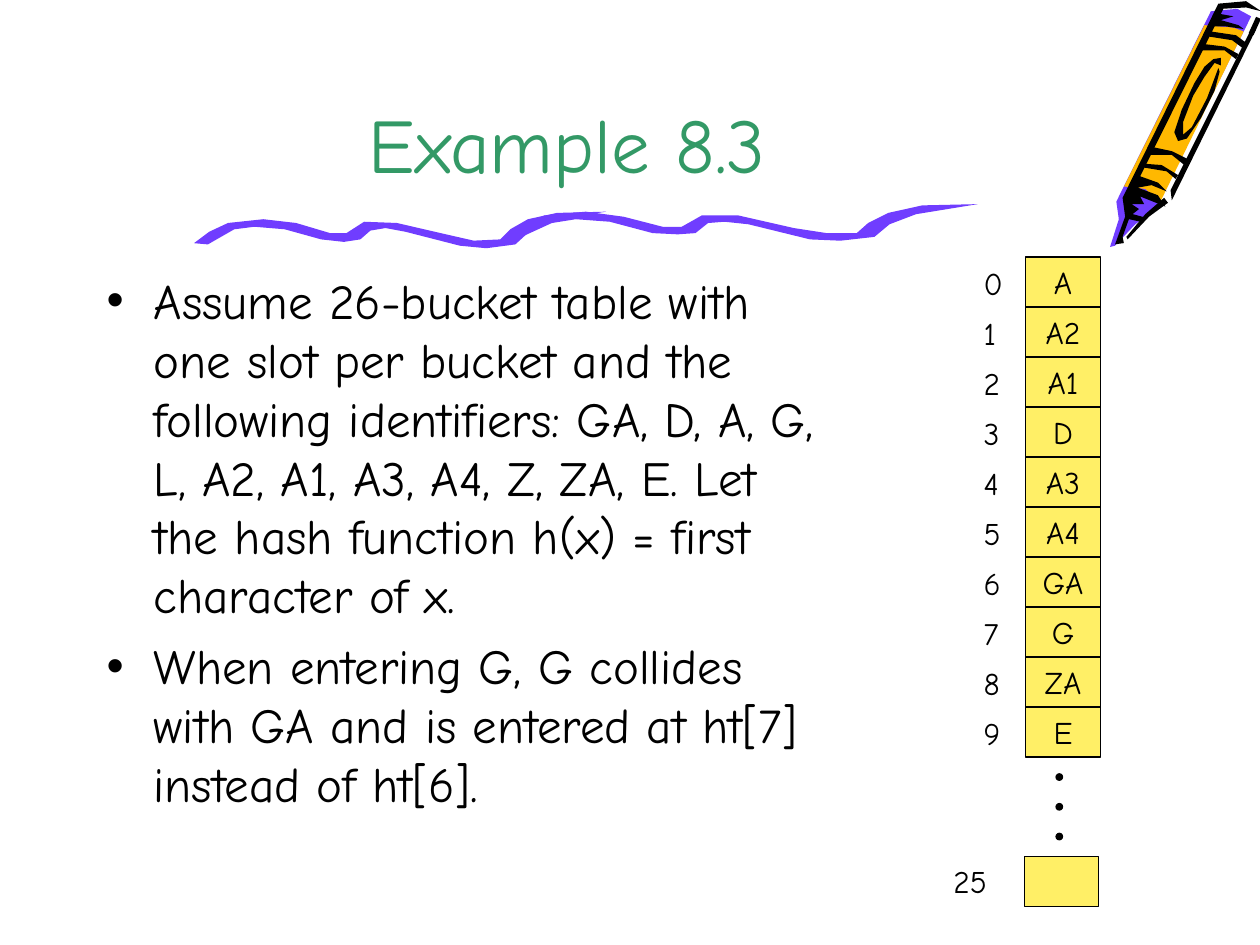
"""Build the hash table example slide with its crayon decoration."""
from dataclasses import dataclass

from lxml import etree
from pptx import Presentation
from pptx import util as u
from pptx.dml.color import RGBColor
from pptx.enum import shapes, text
from pptx.oxml import ns

FONT = "Comic Neue"
BLACK, PURPLE, ORANGE, YELLOW, GREEN = "000000", "703DFF", "FFB800", "FFEF66", "339966"
HUNDREDTH_INCH = u.Cm(0.0254)


@dataclass(frozen=True)
class Outline:
    """A filled outline, with its corners in hundredths of an inch."""
    color: str
    corners: str


@dataclass(frozen=True)
class Area:
    """A place on the slide, in centimetres."""
    left: float
    top: float
    width: float
    height: float

    def lengths(self) -> list[u.Length]:
        """Return left, top, width and height as lengths."""
        return [u.Cm(value) for value in (self.left, self.top, self.width, self.height)]


CRAYON = [
    Outline(PURPLE, "993,13 917,166 901,178 885,195 881,196 888,174 886,160 961,9 982,7"),
    Outline(ORANGE, "921,160 909,150 892,148 956,20 979,22 987,25"),
    Outline(BLACK, "927,161 912,172 895,190 894,188 909,170 924,157"),
    Outline(BLACK, "987,23 973,21 961,21 968,11 979,13 969,16 983,20"),
    Outline(BLACK, "968,57 964,72 953,94 942,110 935,112 932,105 938,87 948,66 956,53 963,47 "
                   "969,46 969,52 964,50 956,61 947,76 939,97 939,107 946,101 958,78 967,54"),
    Outline(BLACK, "997,23 930,159 929,151 993,23"),
    Outline(BLACK, "925,164 919,155 903,149 914,147 926,152 919,145 905,140 971,7 989,6 1001,9 "
                   "989,1 967,3 891,157 893,172 885,194 892,193 891,188 896,174 905,176 910,173 "
                   "899,170 904,166 898,162 908,162 905,156"),
    Outline(BLACK, "933,142 926,136 908,133 909,130 922,131 935,139"),
    Outline(BLACK, "940,131 930,123 913,123 916,117 930,120 942,126"),
    Outline(BLACK, "981,47 972,40 953,40 956,35 972,37 983,43"),
    Outline(BLACK, "986,38 978,32 959,29 961,25 981,28 989,34"),
]
WAVES = [
    Outline(PURPLE, "165,194 186,182 202,180 226,182 255,190 273,192 286,190 294,183 306,181 "
                    "322,184 365,195 386,197 409,194 420,184 438,175 481,168 442,169 419,174 "
                    "405,182 397,190 376,191 354,186 315,177 289,176 275,185 262,185 235,177 "
                    "209,174 181,177 166,184 154,193"),
    Outline(PURPLE, "414,188 438,177 457,174 484,176 518,185 538,186 552,185 562,177 575,176 "
                    "594,178 643,190 667,191 694,188 706,178 727,170 776,162 732,163 705,169 "
                    "689,177 680,185 656,185 630,181 586,171 557,171 541,180 526,180 495,172 "
                    "465,168 432,171 415,178 401,188"),
]
BUCKETS = ["A", "A2", "A1", "D", "A3", "A4", "GA", "G", "ZA", "E"]
BODY = [
    "Assume 26-bucket table with one slot per bucket and the following identifiers: "
    "GA, D, A, G, L, A2, A1, A3, A4, Z, ZA, E. Let the hash function h(x) = first character of x.",
    "When entering G, G collides with GA and is entered at ht[7] instead of ht[6].",
]


def rgb(color: str) -> RGBColor:
    """Turn a hex string into a colour."""
    return RGBColor.from_string(color)


def paint(shape, fill: str, line: str | None = None) -> None:
    """Set the fill and outline of a shape and remove its shadow."""
    shape.shadow.inherit = False
    shape.fill.solid()
    shape.fill.fore_color.rgb = rgb(fill)
    if line:
        shape.line.color.rgb = rgb(line)
        shape.line.width = u.Pt(0.75)
    else:
        shape.line.fill.background()


def add_bullet(para) -> None:
    """Give a paragraph a hanging round bullet."""
    properties = para._p.get_or_add_pPr()
    properties.set("marL", str(u.Cm(0.95)))
    properties.set("indent", str(-u.Cm(0.95)))
    etree.SubElement(properties, ns.qn("a:buFont"), typeface="Arial")
    etree.SubElement(properties, ns.qn("a:buChar"), char="•")


def write(shape, *lines: str, size: float = 18, color: str = BLACK, align: str = "LEFT",
          anchor: str = "TOP", wrap: bool = True, bullets: bool = False, gap: float = 0) -> None:
    """Write formatted paragraphs into a shape."""
    frame = shape.text_frame
    frame.word_wrap = wrap
    frame.vertical_anchor = text.MSO_ANCHOR[anchor]
    for index, line in enumerate(lines):
        para = frame.add_paragraph() if index else frame.paragraphs[0]
        if bullets:
            add_bullet(para)
        if index:
            para.space_before = u.Pt(gap)
        para.alignment = text.PP_ALIGN[align]
        span = para.add_run()
        span.text = line
        span.font.name = FONT
        span.font.size = u.Pt(size)
        span.font.color.rgb = rgb(color)


def add_outline(page, outline: Outline) -> None:
    """Draw a closed outline."""
    start, *rest = [tuple(map(int, corner.split(","))) for corner in outline.corners.split()]
    builder = page.shapes.build_freeform(*start, scale=HUNDREDTH_INCH)
    builder.add_line_segments(rest, close=True)
    paint(builder.convert_to_shape(), outline.color)


def add_crayon_edge(page) -> None:
    """Draw the thick short line near the crayon's blunt end."""
    edge = page.shapes.add_connector(
        shapes.MSO_CONNECTOR.STRAIGHT, u.Cm(25.37), u.Cm(0.36), u.Cm(25.22), u.Cm(0.69))
    edge.line.color.rgb = rgb(BLACK)
    edge.line.width = u.Pt(3)
    etree.SubElement(edge._element.spPr, ns.qn("a:effectLst"))


def add_text(page, area: Area, *lines: str, **style) -> None:
    """Add a text box."""
    write(page.shapes.add_textbox(*area.lengths()), *lines, **style)


def add_bucket(page, area: Area, key: str = "") -> None:
    """Add one hash table cell."""
    box = page.shapes.add_shape(shapes.MSO_SHAPE.RECTANGLE, *area.lengths())
    paint(box, YELLOW, BLACK)
    if key:
        write(box, key, align="CENTER", anchor="MIDDLE", wrap=False)


def add_table_column(page) -> None:
    """Add the numbered buckets, the dots and the last bucket."""
    for index, key in enumerate(BUCKETS):
        top = 5.18 + 1.008 * index
        add_bucket(page, Area(20.68, top, 1.5, 1.01), key)
        add_text(page, Area(19.58, top + 0.02, 1.04, 1.02), str(index))
    for index in range(3):
        dot = page.shapes.add_shape(
            shapes.MSO_SHAPE.OVAL, *Area(21.29, 15.6 + 0.6 * index, 0.13, 0.13).lengths())
        paint(dot, BLACK, BLACK)
    add_bucket(page, Area(20.65, 17.27, 1.5, 1.01))
    add_text(page, Area(18.97, 17.25, 1.7, 1.02), "25")


def main() -> None:
    """Build and save the deck."""
    deck = Presentation()
    deck.slide_width, deck.slide_height = u.Cm(25.4), u.Cm(19.05)
    page = deck.slides.add_slide(deck.slide_layouts[6])
    for outline in CRAYON:
        add_outline(page, outline)
    add_crayon_edge(page)
    for outline in WAVES:
        add_outline(page, outline)
    add_text(page, Area(1.9, 0, 19.08, 3.94), "Example 8.3",
             size=44, color=GREEN, align="CENTER", anchor="BOTTOM")
    add_text(page, Area(1.9, 5.33, 15.06, 11.2), *BODY, size=28, bullets=True, gap=7)
    add_table_column(page)
    deck.save("out.pptx")


if __name__ == "__main__":
    main()
